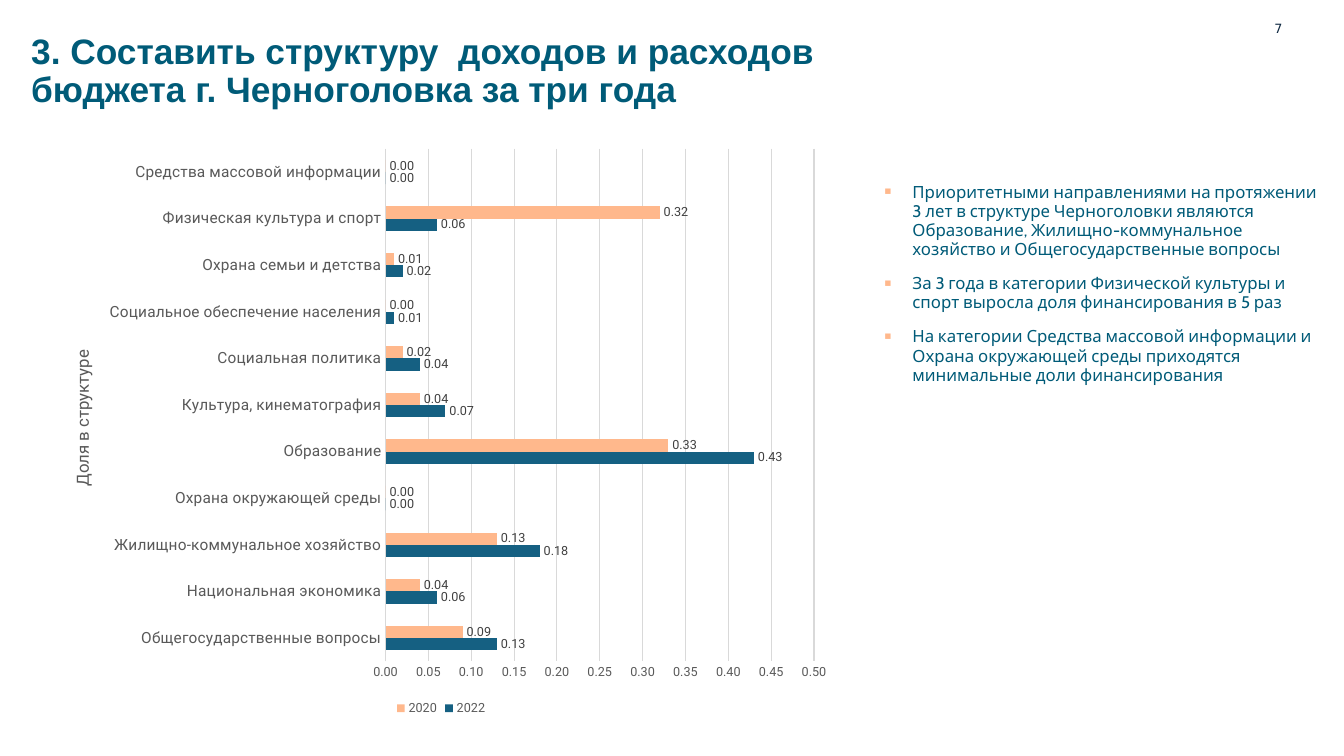
"""Build the slide on the structure of the Chernogolovka budget."""
from dataclasses import dataclass

from lxml import etree
from pptx import Presentation
from pptx import util as u
from pptx.chart.data import CategoryChartData
from pptx.dml.color import RGBColor
from pptx.enum import chart as ch
from pptx.enum import text as t
from pptx.oxml import parse_xml
from pptx.oxml.ns import nsdecls, qn

PAGE = "7"
TITLE = "3. Составить структуру  доходов и расходов бюджета г. Черноголовка за три года"
FINDINGS = [
    "Приоритетными направлениями на протяжении 3 лет в структуре Черноголовки являются "
    "Образование, Жилищно-коммунальное хозяйство и Общегосударственные вопросы",
    "За 3 года в категории Физической культуры и спорт выросла доля финансирования в 5 раз",
    "На категории Средства массовой информации и Охрана окружающей среды приходятся "
    "минимальные доли финансирования",
]
AXIS_TITLE = "Доля в структуре"
YEARS = ("2022", "2020")
SHARES = [
    ("Общегосударственные вопросы", 0.13, 0.09),
    ("Национальная экономика", 0.06, 0.04),
    ("Жилищно-коммунальное хозяйство", 0.18, 0.13),
    ("Охрана окружающей среды", 0, 0),
    ("Образование", 0.43, 0.33),
    ("Культура, кинематография", 0.07, 0.04),
    ("Социальная политика", 0.04, 0.02),
    ("Социальное обеспечение населения", 0.01, 0),
    ("Охрана семьи и детства", 0.02, 0.01),
    ("Физическая культура и спорт", 0.06, 0.32),
    ("Средства массовой информации", 0, 0),
]

PX = 9144
SLIDE = (1333, 750)
BOXES = {
    "page": (1201, 18, 71, 20),
    "title": (31, 35, 787, 104),
    "findings": (877, 181, 434, 421),
    "chart": (44, 136, 787, 578),
}
PLOT_LAYOUT = {"x": 0.43, "y": 0.02, "w": 0.54, "h": 0.88}
AXIS_TITLE_LAYOUT = {"x": 0.03, "y": 0.36}
HANGING = 28


@dataclass(frozen=True)
class Theme:
    """Colours, fonts and type sizes."""
    teal: str = "005B78"
    peach: str = "FFB88C"
    blue: str = "156082"
    navy: str = "0E2841"
    grey: str = "595959"
    dark: str = "404040"
    rule: str = "D9D9D9"
    title_font: str = "Arial"
    body_font: str = "Cabin"
    page_font: str = "DejaVu Sans"
    chart_font: str = "Roboto"
    title_size: float = 25.2
    body_size: float = 12
    page_size: float = 9.1
    category_size: float = 11
    small_size: float = 9
    leading: float = 13.6
    gap: float = 10.9


THEME = Theme()


def emu(lengths):
    """Turn px lengths into EMU."""
    return [n * PX for n in lengths]


def style(font, size, color, name=THEME.chart_font, bold=False):
    """Set the look of a font."""
    font.size, font.name, font.bold = u.Pt(size), name, bold
    font.color.rgb = RGBColor.from_string(color)


def add_bullet(paragraph):
    """Give a paragraph a small square bullet with a hanging indent."""
    props = paragraph._p.get_or_add_pPr()
    props.set("marL", str(HANGING * PX))
    props.set("indent", str(-HANGING * PX))
    color = etree.SubElement(props, qn("a:buClr"))
    etree.SubElement(color, qn("a:srgbClr"), val=THEME.peach)
    etree.SubElement(props, qn("a:buSzPct"), val="130000")
    etree.SubElement(props, qn("a:buFont"), typeface="Arial")
    etree.SubElement(props, qn("a:buChar"), char="▪")


def add_text(slide, box, lines, *, size, color, font, bold=False, bottom=0, bullets=False,
             align=t.PP_ALIGN.LEFT, anchor=t.MSO_ANCHOR.TOP, leading=None, gap=0):
    """Place paragraphs in a box with one format."""
    frame = slide.shapes.add_textbox(*emu(box)).text_frame
    frame.word_wrap, frame.vertical_anchor = True, anchor
    frame.margin_left = frame.margin_right = frame.margin_top = 0
    frame.margin_bottom = bottom * PX
    for i, line in enumerate(lines):
        paragraph = frame.paragraphs[0] if i == 0 else frame.add_paragraph()
        paragraph.alignment, paragraph.line_spacing = align, leading
        paragraph.space_before = u.Pt(gap if i else 0)
        if bullets:
            add_bullet(paragraph)
        run = paragraph.add_run()
        run.text = line
        style(run.font, size, color, font, bold)


def layout_xml(fractions, inner=False):
    """Return a manual chart layout."""
    modes = "".join(f'<c:{k}Mode val="edge"/>' for k in "xy")
    places = "".join(f'<c:{k} val="{v}"/>' for k, v in fractions.items())
    target = '<c:layoutTarget val="inner"/>' if inner else ""
    return parse_xml(f'<c:layout {nsdecls("c")}><c:manualLayout>{target}{modes}{places}'
                     '</c:manualLayout></c:layout>')


def set_layout(parent, layout, after=None):
    """Replace the layout of a chart part."""
    for old in parent.findall(qn("c:layout")):
        parent.remove(old)
    if after is None:
        parent.insert(0, layout)
    else:
        parent.find(qn(after)).addnext(layout)


def add_shares(slide):
    """Draw the shares of spending by category."""
    data = CategoryChartData(number_format="0.00")
    categories, *columns = zip(*SHARES)
    data.categories = categories
    for year, values in zip(YEARS, columns):
        data.add_series(year, values)
    chart = slide.shapes.add_chart(
        ch.XL_CHART_TYPE.BAR_CLUSTERED, *emu(BOXES["chart"]), data).chart
    style(chart.font, THEME.small_size, THEME.grey)
    chart.has_title = False
    chart.has_legend = True
    chart.legend.position = ch.XL_LEGEND_POSITION.BOTTOM
    chart.legend.include_in_layout = False
    style(chart.legend.font, THEME.small_size, THEME.grey)

    plot = chart.plots[0]
    plot.gap_width, plot.overlap, plot.vary_by_categories = 182, 0, False
    for series, color in zip(plot.series, (THEME.blue, THEME.peach)):
        series.format.fill.solid()
        series.format.fill.fore_color.rgb = RGBColor.from_string(color)
        labels = series.data_labels
        labels.show_value = True
        labels.number_format, labels.number_format_is_linked = "0.00", False
        labels.position = ch.XL_LABEL_POSITION.OUTSIDE_END
        style(labels.font, THEME.small_size, THEME.dark)

    names, scale = chart.category_axis, chart.value_axis
    for axis, size in ((names, THEME.category_size), (scale, THEME.small_size)):
        axis.major_tick_mark = axis.minor_tick_mark = ch.XL_TICK_MARK.NONE
        style(axis.tick_labels.font, size, THEME.grey)
    scale.minimum_scale, scale.maximum_scale, scale.major_unit = 0, 0.5, 0.05
    scale.tick_labels.number_format = "0.00"
    scale.tick_labels.number_format_is_linked = False
    scale.format.line.fill.background()
    for line in (names.format.line, scale.major_gridlines.format.line):
        line.color.rgb = RGBColor.from_string(THEME.rule)
        line.width = u.Pt(0.75)

    heading = names.axis_title.text_frame
    heading.text = AXIS_TITLE
    style(heading.paragraphs[0].runs[0].font, THEME.body_size, THEME.grey)
    heading._txBody.find(qn("a:bodyPr")).set("rot", "-5400000")
    set_layout(names.axis_title._element, layout_xml(AXIS_TITLE_LAYOUT), "c:tx")
    set_layout(chart._chartSpace.chart.plotArea, layout_xml(PLOT_LAYOUT, inner=True))


def main():
    """Compose and save the slide."""
    deck = Presentation()
    deck.slide_width, deck.slide_height = emu(SLIDE)
    slide = deck.slides.add_slide(deck.slide_layouts[6])
    add_text(slide, BOXES["page"], [PAGE], size=THEME.page_size, color=THEME.navy,
             font=THEME.page_font, bottom=0, align=t.PP_ALIGN.RIGHT,
             anchor=t.MSO_ANCHOR.MIDDLE)
    add_text(slide, BOXES["findings"], FINDINGS, size=THEME.body_size, color=THEME.teal,
             font=THEME.body_font, bullets=True, leading=u.Pt(THEME.leading), gap=THEME.gap)
    add_text(slide, BOXES["title"], [TITLE], size=THEME.title_size, color=THEME.teal,
             font=THEME.title_font, bold=True, bottom=31, anchor=t.MSO_ANCHOR.MIDDLE,
             leading=0.9)
    add_shares(slide)
    deck.save("out.pptx")


if __name__ == "__main__":
    main()
